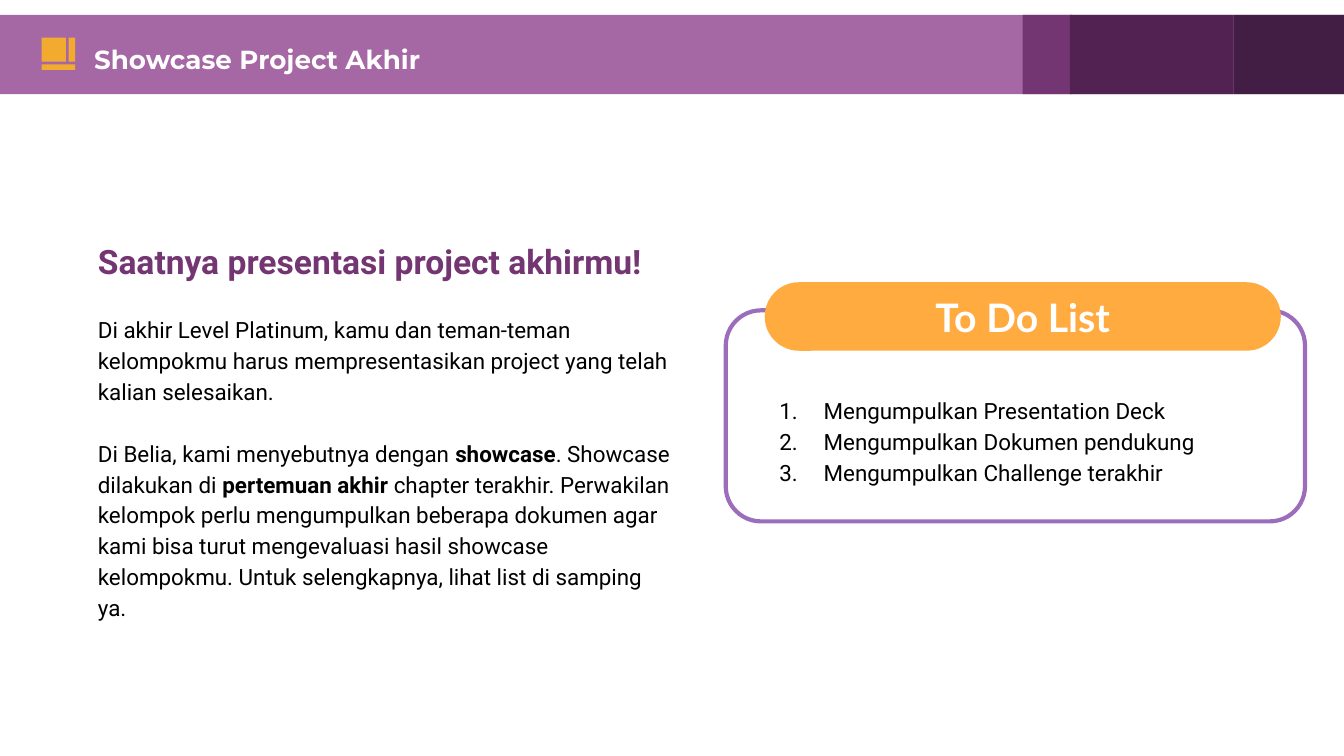
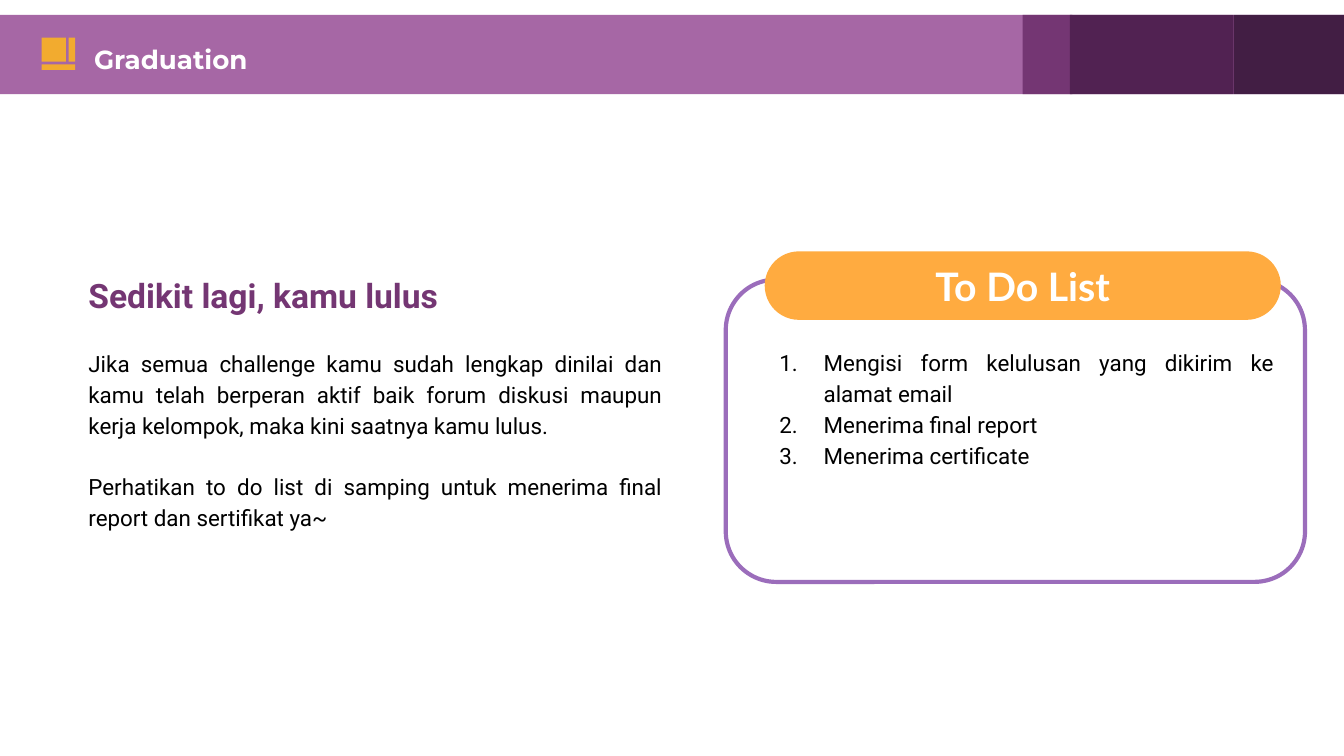
from lxml.etree import SubElement
from pptx import Presentation
from pptx.dml.color import RGBColor
from pptx.enum.shapes import MSO_SHAPE
from pptx.enum.text import MSO_ANCHOR, MSO_AUTO_SIZE, PP_ALIGN
from pptx.oxml.ns import qn
from pptx.util import Inches, Pt

W = 10
H = W * 9 / 16
COLORS = {
    "white": "FFFFFF", "black": "000000", "light": "A667A5", "plum": "743673",
    "dark": "512252", "night": "421E44", "icon": "F2AB2F", "pill": "FFAB40",
    "border": "9B6DBB",
}
BANDS = [("light", 0, 10), ("night", 8.89, 1.11), ("plum", 7.61, 0.37), ("dark", 7.96, 1.22)]
BANDS[1] = ("night", 9.18, 0.82)
BAND_TOP, BAND_HEIGHT = 0.11, 0.59
ICON = [(0.31, 0.28, 0.18, 0.18), (0.51, 0.28, 0.05, 0.18), (0.31, 0.48, 0.25, 0.04)]
CARD_LEFT, CARD_WIDTH = 5.4, 4.31
PILL_RISE = 0.21

SLIDES = [
    {
        "title": "Showcase Project Akhir",
        "heading": "Saatnya presentasi project akhirmu!",
        "body": [
            "Di akhir Level Platinum, kamu dan teman-teman kelompokmu harus "
            "mempresentasikan project yang telah kalian selesaikan.",
            "Di Belia, kami menyebutnya dengan **showcase**. Showcase dilakukan di "
            "**pertemuan akhir** chapter terakhir. Perwakilan kelompok perlu "
            "mengumpulkan beberapa dokumen agar kami bisa turut mengevaluasi hasil "
            "showcase kelompokmu. Untuk selengkapnya, lihat list di samping ya.",
        ],
        "body_box": (0.63, 1.65, 4.48, 2.6),
        "todo": ["Mengumpulkan Presentation Deck", "Mengumpulkan Dokumen pendukung",
                 "Mengumpulkan Challenge terakhir"],
        "todo_box": (5.53, 2.52, 4.05, 1.5),
        "card": (2.31, 1.57),
        "align": PP_ALIGN.LEFT,
        "anchor": MSO_ANCHOR.MIDDLE,
    },
    {
        "title": "Graduation",
        "heading": "Sedikit lagi, kamu lulus",
        "body": [
            "Jika semua challenge kamu sudah lengkap dinilai dan kamu telah berperan "
            "aktif baik forum diskusi maupun kerja kelompok, maka kini saatnya kamu lulus.",
            "Perhatikan to do list di samping untuk menerima final report dan sertifikat ya~",
        ],
        "body_box": (0.56, 1.9, 4.47, 2.61),
        "todo": ["Mengisi form kelulusan yang dikirim ke alamat email",
                 "Menerima final report", "Menerima certificate"],
        "todo_box": (5.53, 2.47, 4.05, 1.59),
        "card": (2.08, 2.25),
        "align": PP_ALIGN.JUSTIFY,
        "anchor": MSO_ANCHOR.TOP,
    },
]


def rgb(name):
    return RGBColor.from_string(COLORS[name])


def add_block(s, box, fill, kind=MSO_SHAPE.RECTANGLE, adj=None, line=None):
    sp = s.shapes.add_shape(kind, *map(Inches, box))
    sp.shadow.inherit = False
    sp.fill.solid()
    sp.fill.fore_color.rgb = rgb(fill)
    if line:
        sp.line.color.rgb = rgb(line)
        sp.line.width = Pt(2.25)
    else:
        sp.line.fill.background()
    if adj is not None:
        sp.adjustments[0] = adj
    return sp


def setup_frame(tf, anchor=MSO_ANCHOR.TOP, inset=(0.1, 0.1)):
    tf.word_wrap = True
    tf.auto_size = MSO_AUTO_SIZE.NONE
    tf.vertical_anchor = anchor
    tf.margin_left = tf.margin_right = Inches(inset[0])
    tf.margin_top = tf.margin_bottom = Inches(inset[1])
    return tf


def add_textbox(s, box, **frame):
    return setup_frame(s.shapes.add_textbox(*map(Inches, box)).text_frame, **frame)


def number(p):
    pPr = p._p.get_or_add_pPr()
    pPr.set("marL", str(Inches(0.5)))
    pPr.set("indent", str(-Inches(0.33)))
    color = SubElement(pPr, qn("a:buClr"))
    SubElement(color, qn("a:srgbClr"), val=COLORS["black"])
    SubElement(pPr, qn("a:buFont"), typeface="Roboto")
    SubElement(pPr, qn("a:buAutoNum"), type="arabicPeriod")


def write(tf, text, size=12, font="Roboto", color="black", bold=False,
          align=PP_ALIGN.LEFT, spacing=1.15, before=0, numbered=False):
    p = tf.paragraphs[0] if not tf.text else tf.add_paragraph()
    if numbered:
        number(p)
    p.alignment = align
    p.line_spacing = spacing
    p.space_before = Pt(before)
    for i, part in enumerate(text.split("**")):
        r = p.add_run()
        r.text = part
        r.font.size = Pt(size)
        r.font.name = font
        r.font.bold = bold or i % 2 == 1
        r.font.color.rgb = rgb(color)


def add_header(s, title):
    for color, left, width in BANDS:
        add_block(s, (left, BAND_TOP, width, BAND_HEIGHT), color)
    for box in ICON:
        add_block(s, box, "icon")
    sp = s.shapes.title
    s.shapes._spTree.append(sp._element)
    sp.left, sp.top, sp.width, sp.height = map(Inches, (0.63, 0.28, 7.98, 0.25))
    tf = setup_frame(sp.text_frame, inset=(0.07, 0.04))
    write(tf, title, size=14, font="Montserrat", color="white", bold=True, spacing=1)


def add_message(s, data):
    tf = add_textbox(s, data["body_box"])
    write(tf, data["heading"], size=18, color="plum", bold=True, align=data["align"])
    for text in data["body"]:
        write(tf, text, align=data["align"], before=16.5)


def add_todo(s, data):
    top, height = data["card"]
    add_block(s, (CARD_LEFT, top, CARD_WIDTH, height), "white",
              MSO_SHAPE.ROUNDED_RECTANGLE, 0.167, "border")
    pill = add_block(s, (CARD_LEFT + 0.29, top - PILL_RISE, 3.84, 0.51), "pill",
                     MSO_SHAPE.ROUNDED_RECTANGLE, 0.5)
    tf = setup_frame(pill.text_frame, anchor=MSO_ANCHOR.MIDDLE)
    write(tf, "To Do List", size=21, font="Lato", color="white", bold=True,
          align=PP_ALIGN.CENTER, spacing=1)
    tf = add_textbox(s, data["todo_box"], anchor=data["anchor"])
    for item in data["todo"]:
        write(tf, item, align=data["align"], numbered=True)


def main():
    prs = Presentation()
    prs.slide_width, prs.slide_height = Inches(W), Inches(H)
    for data in SLIDES:
        s = prs.slides.add_slide(prs.slide_layouts[5])
        add_header(s, data["title"])
        add_message(s, data)
        add_todo(s, data)
    prs.save("out.pptx")


if __name__ == "__main__":
    main()
